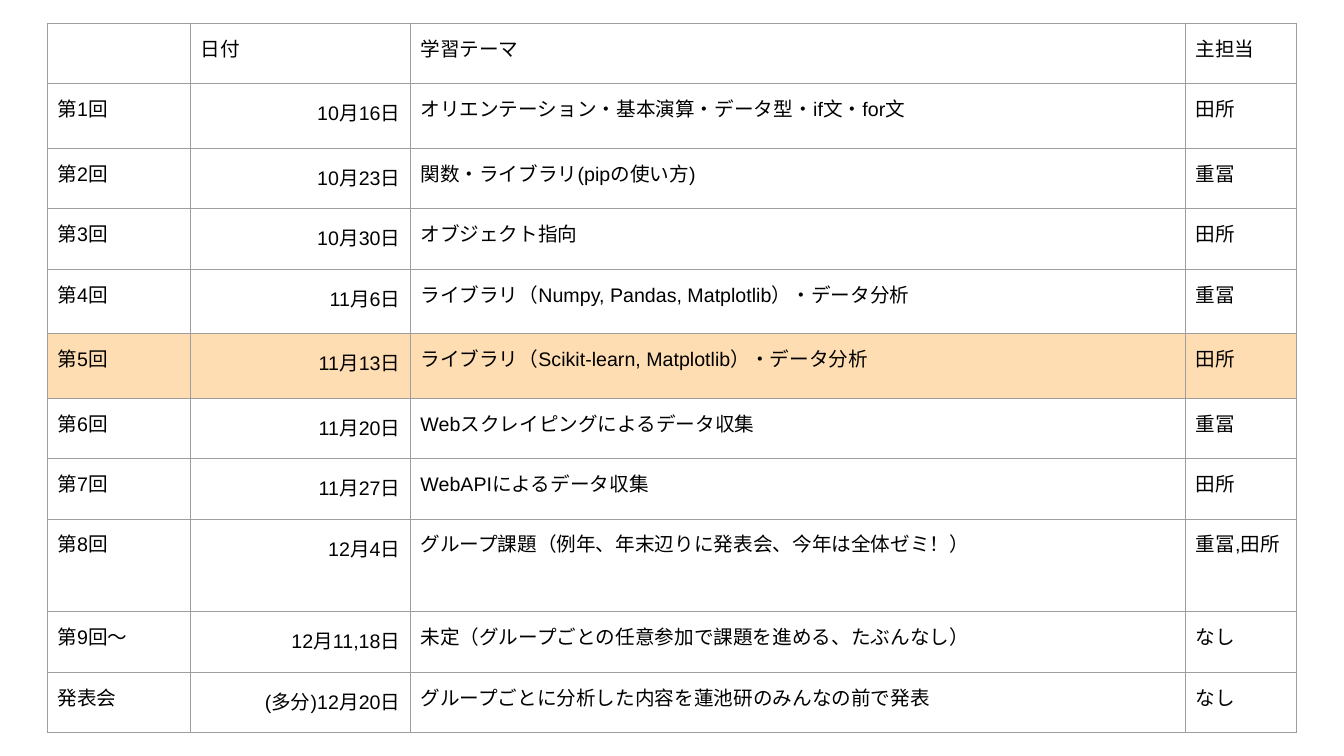
import pptx
import pptx.util
import pptx.dml.color
import pptx.enum.text
import pptx.oxml

HEAD = ("", "日付", "学習テーマ", "主担当")
PLAN = [
    ("第1回", "10月16日", "オリエンテーション・基本演算・データ型・if文・for文", "田所"),
    ("第2回", "10月23日", "関数・ライブラリ(pipの使い方)", "重冨"),
    ("第3回", "10月30日", "オブジェクト指向", "田所"),
    ("第4回", "11月6日", "ライブラリ（Numpy, Pandas, Matplotlib）・データ分析", "重冨"),
    ("第5回", "11月13日", "ライブラリ（Scikit-learn, Matplotlib）・データ分析", "田所"),
    ("第6回", "11月20日", "Webスクレイピングによるデータ収集", "重冨"),
    ("第7回", "11月27日", "WebAPIによるデータ収集", "田所"),
    ("第8回", "12月4日", "グループ課題（例年、年末辺りに発表会、今年は全体ゼミ！）", "重冨,田所"),
    ("第9回～", "12月11,18日", "未定（グループごとの任意参加で課題を進める、たぶんなし）", "なし"),
    ("発表会", "(多分)12月20日", "グループごとに分析した内容を蓮池研のみんなの前で発表", "なし"),
]
NOW = 5
DATE = 1
WIDTHS = (142, 218, 769, 110)
ROW = 60
TALL = {1: 64, 4: 64, 5: 64, 8: 92}
LEFT, TOP, PAD = 47, 23, 10
THEME = {"font": "Arial", "size": 14, "text": "000000", "now": "FFDDB2",
         "plain": "FFFFFF", "rule": "9E9E9E", "line": 0.75}


def px(n):
    return pptx.util.Emu(n * 9144)


def rgb(name):
    return pptx.dml.color.RGBColor.from_string(THEME[name])


def frame(cell):
    """Rule all four sides of a cell."""
    props = cell._tc.get_or_add_tcPr()
    width = pptx.util.Pt(THEME["line"])
    for side in "LRTB":
        props.append(pptx.oxml.parse_xml(
            f'<a:ln{side} xmlns:a="http://schemas.openxmlformats.org/drawingml/2006/main"'
            f' w="{width}"><a:solidFill><a:srgbClr val="{THEME["rule"]}"/></a:solidFill>'
            f'</a:ln{side}>'))


def write(cell, text, dated, shade):
    for side in ("left", "right", "top", "bottom"):
        setattr(cell, f"margin_{side}", px(PAD))
    frame(cell)
    cell.fill.solid()
    cell.fill.fore_color.rgb = rgb(shade)
    para = cell.text_frame.paragraphs[0]
    if dated:
        para.alignment = pptx.enum.text.PP_ALIGN.RIGHT
        para.line_spacing = 1.15
    para.font.size = pptx.util.Pt(THEME["size"])
    if text:
        run = para.add_run()
        run.text = text
        look = {"name": THEME["font"], "size": pptx.util.Pt(THEME["size"])}
        for key, value in look.items():
            setattr(run.font, key, value)
        run.font.color.rgb = rgb("text")


def main():
    deck = pptx.Presentation()
    deck.slide_width, deck.slide_height = px(1333), px(750)
    slide = deck.slides.add_slide(deck.slide_layouts[6])
    rows = [HEAD] + PLAN
    tall = [TALL.get(i, ROW) for i in range(len(rows))]
    table = slide.shapes.add_table(len(rows), len(HEAD), px(LEFT), px(TOP),
                                   px(sum(WIDTHS)), px(sum(tall))).table
    table.first_row = table.horz_banding = False
    for col, width in zip(table.columns, WIDTHS):
        col.width = px(width)
    for i, row in enumerate(rows):
        table.rows[i].height = px(tall[i])
        for j, text in enumerate(row):
            write(table.cell(i, j), text, i > 0 and j == DATE,
                  "now" if i == NOW else "plain")
    deck.save("out.pptx")


if __name__ == "__main__":
    main()
